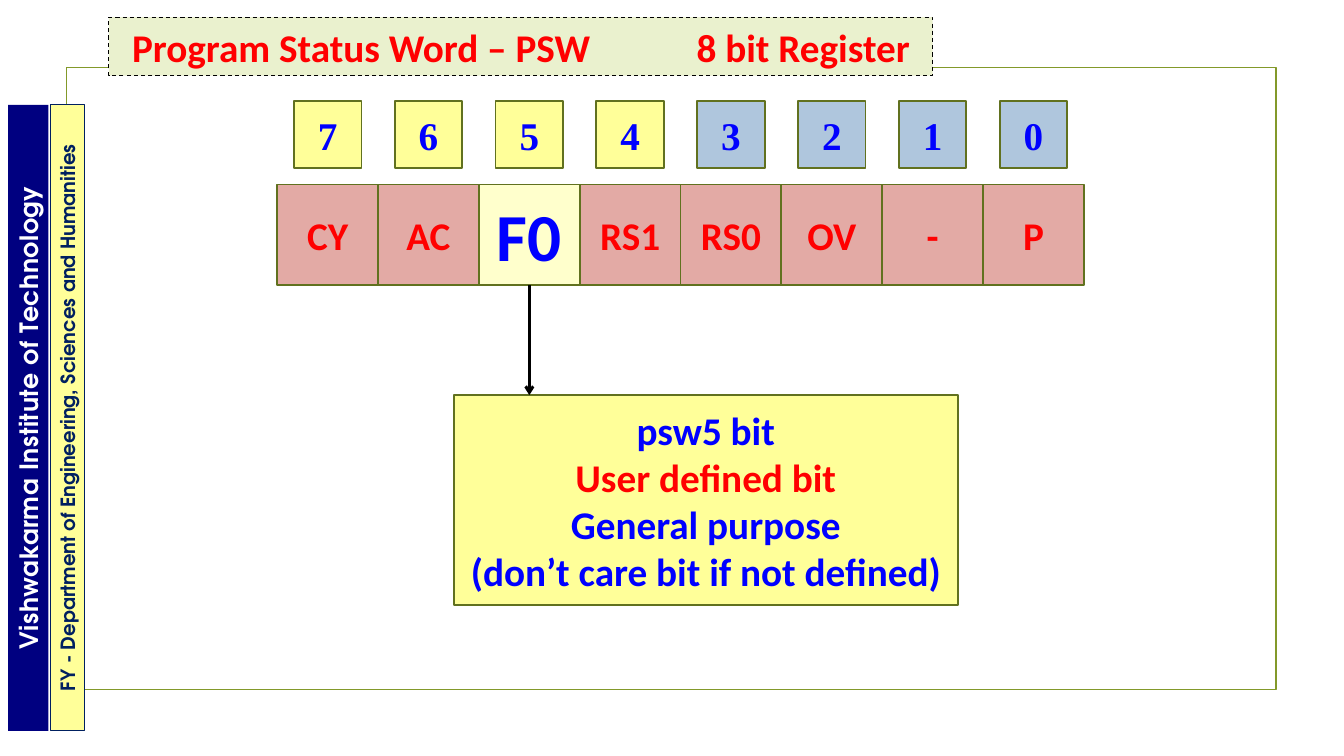
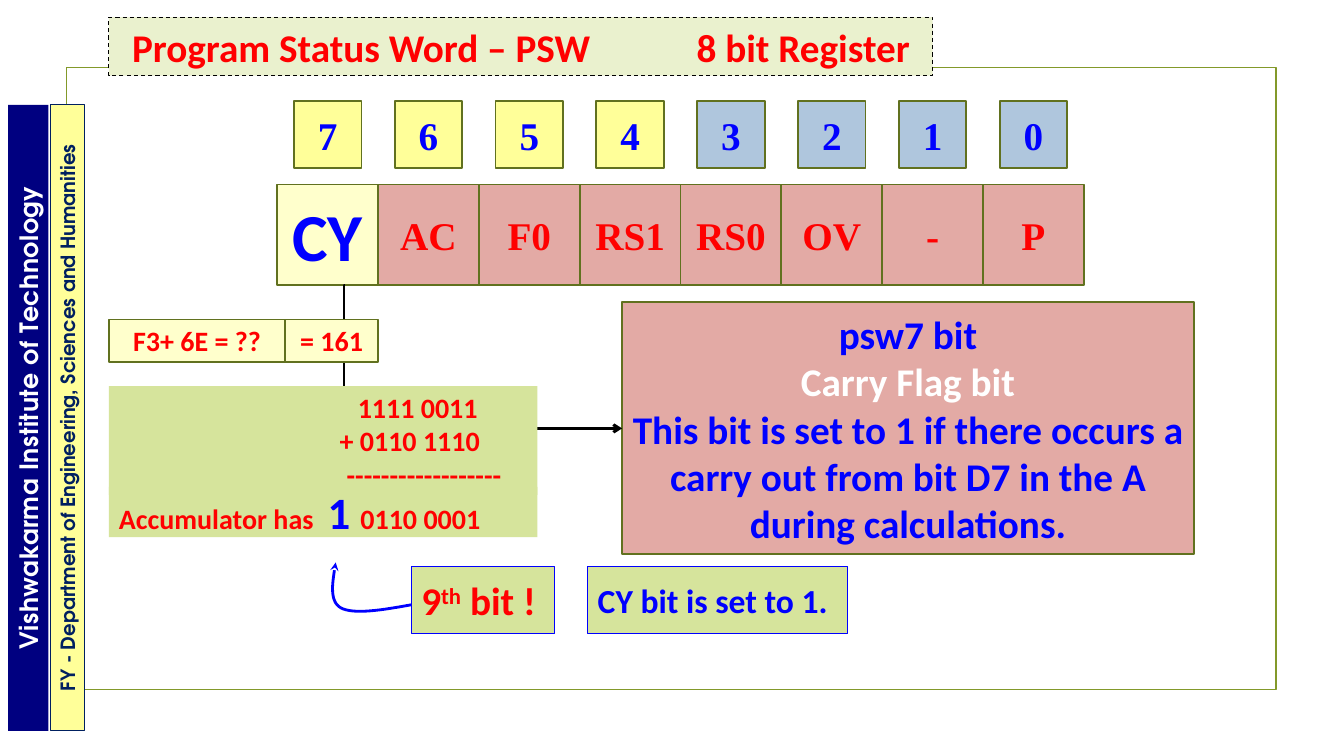
from lxml.etree import SubElement
from pptx import Presentation
from pptx.dml.color import RGBColor
from pptx.enum.dml import MSO_LINE
from pptx.enum.shapes import MSO_CONNECTOR, MSO_SHAPE
from pptx.enum.text import MSO_ANCHOR, MSO_AUTO_SIZE, PP_ALIGN
from pptx.oxml.ns import qn
from pptx.util import Inches, Pt

RED = RGBColor(0xFF, 0x00, 0x00)
BLUE = RGBColor(0x00, 0x00, 0xFF)
BLACK = RGBColor(0x00, 0x00, 0x00)
WHITE = RGBColor(0xFF, 0xFF, 0xFF)
NAVY = RGBColor(0x00, 0x00, 0x80)
INK = RGBColor(0x00, 0x20, 0x60)
OLIVE = RGBColor(0x83, 0x99, 0x2A)
DARK_OLIVE = RGBColor(0x61, 0x71, 0x1F)
PALE_GREEN = RGBColor(0xEA, 0xF1, 0xCE)
GREEN = RGBColor(0xD6, 0xE4, 0x9C)
ROSE = RGBColor(0xE3, 0xAA, 0xA5)
YELLOW = RGBColor(0xFF, 0xFF, 0x99)
CREAM = RGBColor(0xFF, 0xFF, 0xCC)
STEEL = RGBColor(0xAF, 0xC6, 0xDD)

SANS, SERIF, SIDE_FONT = "Calibri", "Times New Roman", "TeX Gyre Adventor"
FLAGS = ["CY", "AC", "F0", "RS1", "RS0", "OV", "-", "P"]


def fmt(color=RED, size=28, name=SANS):
    return {"name": name, "size": Pt(size), "bold": True, "color": color}


def add_run(p, text, style, **attributes):
    r = p.add_run()
    r.text = text
    for key, value in style.items():
        if key == "color":
            r.font.color.rgb = value
        else:
            setattr(r.font, key, value)
    for key, value in attributes.items():
        r.font._element.set(key, value)
    return r


def add_tab(p, position):
    tabs = SubElement(p._p.get_or_add_pPr(), qn("a:tabLst"))
    SubElement(tabs, qn("a:tab"), pos=str(Inches(position)), algn="l")


def set_frame(tf, anchor=MSO_ANCHOR.MIDDLE):
    settings = {"word_wrap": True, "auto_size": MSO_AUTO_SIZE.NONE,
                "vertical_anchor": anchor}
    for key, value in settings.items():
        setattr(tf, key, value)


def add_box(s, box, fill=None, line=DARK_OLIVE, weight=1.25, lines=(),
            align=PP_ALIGN.CENTER):
    """Rectangle whose lines are lists of (text, style[, attributes]) runs."""
    sp = s.shapes.add_shape(MSO_SHAPE.RECTANGLE, *map(Inches, box))
    sp.shadow.inherit = False
    if fill is None:
        sp.fill.background()
    else:
        sp.fill.solid()
        sp.fill.fore_color.rgb = fill
    if line is None:
        sp.line.fill.background()
    else:
        sp.line.color.rgb = line
        sp.line.width = Pt(weight)
    tf = sp.text_frame
    set_frame(tf)
    for i, runs in enumerate(lines):
        p = tf.add_paragraph() if i else tf.paragraphs[0]
        p.alignment = align
        for text, style, *attributes in runs:
            add_run(p, text, style, **(attributes[0] if attributes else {}))
    return sp


def style_arrow(shape, color, head):
    shape.line.color.rgb = color
    shape.line.width = Pt(2)
    SubElement(shape.line._get_or_add_ln(), qn("a:tailEnd"), type=head)


def add_arrow(s, start, end, kind=MSO_CONNECTOR.STRAIGHT, bend=None):
    arrow = s.shapes.add_connector(kind, *map(Inches, start + end))
    style_arrow(arrow, BLACK, "arrow")
    properties = arrow._element.spPr
    SubElement(properties, qn("a:effectLst"))
    if bend is not None:
        adjustments = properties.find(qn("a:prstGeom")).find(qn("a:avLst"))
        SubElement(adjustments, qn("a:gd"), name="adj1", fmla=f"val {bend}")


def add_curve(s, start, segments, steps=16):
    """Open curve through cubic Bezier segments, with an arrowhead."""
    points, here = [], start
    for segment in segments:
        controls = (here, *segment)
        for i in range(1, steps + 1):
            t = i / steps
            weights = ((1 - t) ** 3, 3 * t * (1 - t) ** 2, 3 * t * t * (1 - t), t ** 3)
            points.append(tuple(Inches(sum(w * c[axis] for w, c in zip(weights, controls)))
                                for axis in (0, 1)))
        here = segment[-1]
    builder = s.shapes.build_freeform(*map(Inches, start))
    builder.add_line_segments(points, close=False)
    curve = builder.convert_to_shape()
    curve.shadow.inherit = False
    curve.fill.background()
    style_arrow(curve, BLUE, "stealth")


def add_side_band(s, box, fill, line, text, style, **attributes):
    """Band with text reading upwards; box is the band as seen."""
    x, y, w, h = box
    unturned = (x + (w - h) / 2, y + (h - w) / 2, h, w)
    band = add_box(s, unturned, fill, line, 0.75, [[(text, style, attributes)]])
    band.rotation = 270


def add_title(s):
    title = s.shapes.title
    for key, value in zip(("left", "top", "width", "height"), (1.08, 0.17, 8.17, 0.58)):
        setattr(title, key, Inches(value))
    title.fill.solid()
    title.fill.fore_color.rgb = PALE_GREEN
    title.line.color.rgb = BLACK
    title.line.width = Pt(0.75)
    title.line.dash_style = MSO_LINE.DASH
    tf = title.text_frame
    set_frame(tf)
    tf.margin_left = Inches(0.23)
    p = tf.paragraphs[0]
    p.alignment = PP_ALIGN.LEFT
    add_tab(p, 5.6)
    add_run(p, "Program Status Word – PSW\t8 bit Register", fmt())


def add_register(s, box, active, flag_font):
    """Bit numbers above the eight flag cells; the active flag is enlarged."""
    x, y, cell, number = box
    for i, flag in enumerate(FLAGS):
        left = x + i * cell
        add_box(s, (left + (cell - number) / 2, y, number, number),
                YELLOW if i < 4 else STEEL,
                lines=[[(str(7 - i), fmt(BLUE, name=SERIF))]])
        is_active = flag == active
        add_box(s, (left, y + 0.83, cell, cell), CREAM if is_active else ROSE,
                lines=[[(flag, fmt(BLUE, 48) if is_active else fmt(name=flag_font))]])


def add_base(prs, active, flag_font):
    """Slide with the frame, title, side bands and register."""
    s = prs.slides.add_slide(prs.slide_layouts[5])
    frame = add_box(s, (0.66, 0.67, 12, 6.17), line=OLIVE)
    s.shapes.title._element.addprevious(frame._element)
    add_title(s)
    add_side_band(s, (0.08, 1.04, 0.4, 6.21), NAVY, None,
                  "Vishwakarma Institute of Technology",
                  fmt(WHITE, 18, SIDE_FONT), spc="40")
    add_side_band(s, (0.5, 1.04, 0.34, 6.21), YELLOW, INK,
                  "FY - Department of Engineering, Sciences and Humanities",
                  fmt(INK, 14, SIDE_FONT))
    add_register(s, (2.75, 1, 1, 0.67), active, flag_font)
    return s


def add_binary_sum(s, box):
    """Binary addition with the accumulator result below it."""
    x, y, w, h = box
    terms = [("1111 0011", 2.37), ("+ 0110 1110", 2.19), ("------------------", 2.26)]
    addition = add_box(s, (x, y, w, 1.08), GREEN, None, align=PP_ALIGN.LEFT,
                       lines=[[(text, fmt(size=20))] for text, _ in terms])
    for p, (_, indent) in zip(addition.text_frame.paragraphs, terms):
        p._p.get_or_add_pPr().set("marL", str(Inches(indent)))
    result = add_box(s, (x, y + h - 0.5, w, 0.5), GREEN, None, align=PP_ALIGN.LEFT,
                     lines=[[("Accumulator has\t", fmt(size=20)),
                             ("1 ", fmt(BLUE, 32)), ("0110 0001", fmt(size=20))]])
    add_tab(result.text_frame.paragraphs[0], 2.07)


def add_user_flag_slide(prs):
    s = add_base(prs, "F0", SANS)
    add_box(s, (4.5, 3.92, 5, 2.08), YELLOW, lines=[
        [("psw5 bit", fmt(BLUE))],
        [("User defined bit", fmt())],
        [("General purpose", fmt(BLUE))],
        [("(don’t care bit if not defined)", fmt(BLUE))]])
    add_arrow(s, (5.25, 2.83), (5.25, 3.92))


def add_carry_flag_slide(prs):
    s = add_base(prs, "CY", SERIF)
    # Explanation and the path leading to it
    add_box(s, (6.17, 3, 5.67, 2.5), ROSE, lines=[
        [("psw7 bit", fmt(BLUE))],
        [("Carry Flag bit", fmt(WHITE))],
        [("This bit is set to 1 if there occurs a carry out from bit D7 "
          "in the A during calculations.", fmt(BLUE))]])
    add_arrow(s, (3.42, 2.83), (6.17, 4.25), MSO_CONNECTOR.ELBOW, bend=-300)
    # Worked example
    add_box(s, (1.08, 3.17, 1.75, 0.42), CREAM, lines=[[("F3+ 6E = ??", fmt(size=20))]])
    add_box(s, (2.83, 3.17, 0.92, 0.42), CREAM, lines=[[("= 161", fmt(size=20))]])
    add_binary_sum(s, (1.08, 3.83, 4.25, 1.5))
    # Ninth bit and conclusion
    add_box(s, (4.08, 5.62, 1.42, 0.67), GREEN, BLUE, 0.75, align=PP_ALIGN.LEFT,
            lines=[[("9", fmt()), ("th", fmt(), {"baseline": "30000"}), (" bit !", fmt())]])
    add_curve(s, (4.08, 6), [((3.8, 6.05), (3.51, 6.1), (3.38, 6.03)),
                             ((3.26, 5.96), (3.3, 5.77), (3.33, 5.58))])
    add_box(s, (5.83, 5.62, 2.58, 0.67), GREEN, BLUE, 0.75, align=PP_ALIGN.LEFT,
            lines=[[("CY bit is set to 1.", fmt(BLUE, 24))]])


def main():
    prs = Presentation()
    prs.slide_width, prs.slide_height = Inches(13.33), Inches(7.5)
    add_user_flag_slide(prs)
    add_carry_flag_slide(prs)
    prs.save("out.pptx")


if __name__ == "__main__":
    main()
